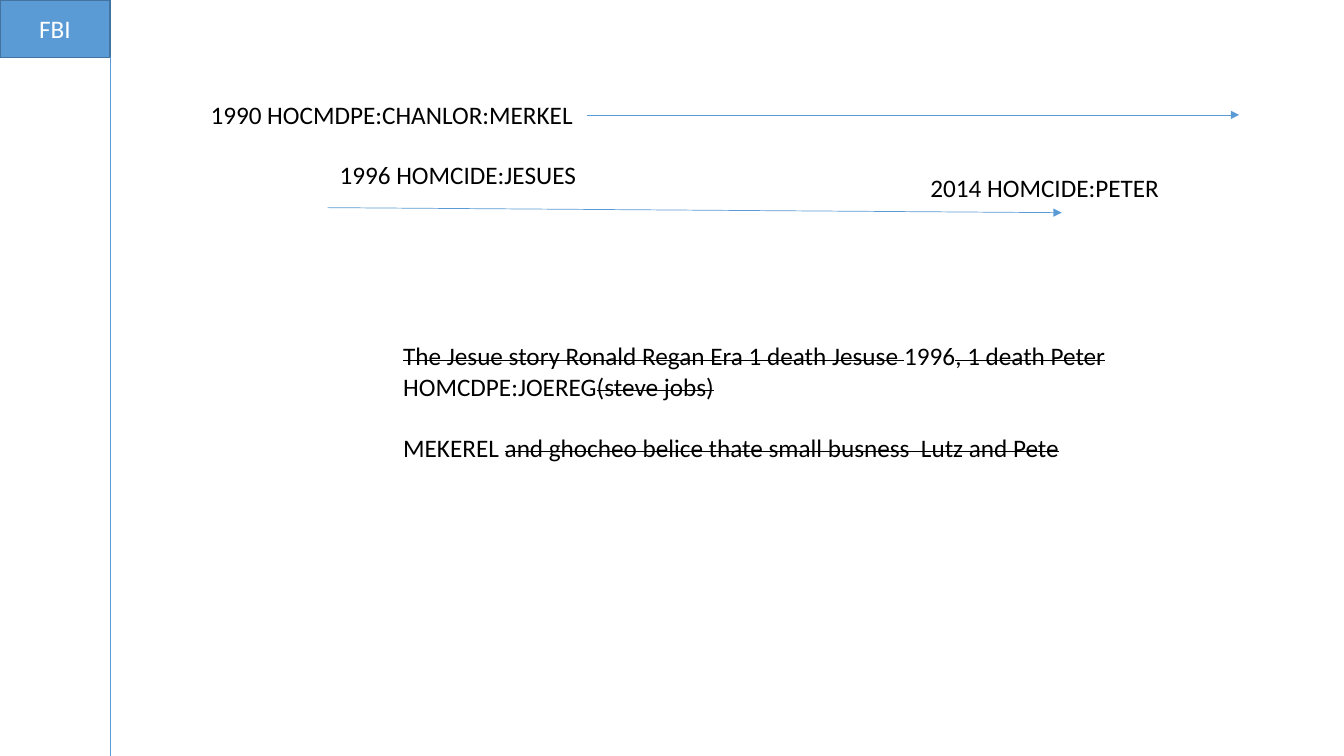
"""Build a slide with a timeline of arrows and a partly struck-out note."""
from dataclasses import dataclass

from lxml.etree import SubElement
from pptx import Presentation
from pptx.dml.color import RGBColor
from pptx.enum.shapes import MSO_CONNECTOR, MSO_SHAPE
from pptx.enum.text import MSO_ANCHOR, MSO_AUTO_SIZE, PP_ALIGN
from pptx.oxml.ns import qn
from pptx.util import Inches, Pt


@dataclass(frozen=True)
class Theme:
    font: str = "Calibri"
    size: Pt = Pt(18)
    gap: Pt = Pt(22)
    blue: RGBColor = RGBColor(0x5B, 0x9B, 0xD5)
    edge: RGBColor = RGBColor(0x43, 0x73, 0x9E)
    ink: RGBColor = RGBColor(0, 0, 0)
    white: RGBColor = RGBColor(255, 255, 255)


THEME = Theme()


def style(para, color):
    para.font.name = THEME.font
    para.font.size = THEME.size
    para.font.color.rgb = color


def add_tag(slide, text, *box):
    tag = slide.shapes.add_shape(MSO_SHAPE.RECTANGLE, *map(Inches, box))
    tag.shadow.inherit = False
    tag.fill.solid()
    tag.fill.fore_color.rgb = THEME.blue
    tag.line.color.rgb = THEME.edge
    tag.line.width = Pt(1)
    frame = tag.text_frame
    frame.vertical_anchor = MSO_ANCHOR.MIDDLE
    para = frame.paragraphs[0]
    para.text = text
    para.alignment = PP_ALIGN.CENTER
    style(para, THEME.white)


def add_line(slide, start, end, arrow=True):
    points = map(Inches, (*start, *end))
    line = slide.shapes.add_connector(MSO_CONNECTOR.STRAIGHT, *points)
    line.line.color.rgb = THEME.blue
    line.line.width = Pt(0.5)
    if arrow:
        SubElement(line.line._get_or_add_ln(), qn("a:tailEnd"), type="triangle")
    SubElement(line._element.spPr, qn("a:effectLst"))
    return line


def add_box(slide, box, wrap):
    shape = slide.shapes.add_textbox(*map(Inches, box))
    shape.text_frame.word_wrap = wrap
    shape.text_frame.auto_size = MSO_AUTO_SIZE.SHAPE_TO_FIT_TEXT
    return shape


def add_label(slide, text, *box):
    label = add_box(slide, box, False)
    para = label.text_frame.paragraphs[0]
    para.text = text
    style(para, THEME.ink)
    return label


def add_note(slide, rows, *box):
    frame = add_box(slide, box, True).text_frame
    for index, row in enumerate(rows):
        para = frame.add_paragraph() if index else frame.paragraphs[0]
        style(para, THEME.ink)
        for text, struck in row:
            run = para.add_run()
            run.text = text
            if struck:
                run._r.get_or_add_rPr().set("strike", "sngStrike")
    para.space_before = THEME.gap


def main():
    deck = Presentation()
    deck.slide_width, deck.slide_height = Inches(13.33), Inches(7.5)
    slide = deck.slides.add_slide(deck.slide_layouts[6])

    add_tag(slide, "FBI", 0, 0, 1.09, 0.57)
    add_line(slide, (1.09, 0.57), (1.09, 7.5), arrow=False)
    add_line(slide, (3.25, 2.06), (10.53, 2.11))
    add_label(slide, "1996 HOMCIDE:JESUES", 3.27, 1.53, 2.57, 0.4)
    add_label(slide, "2014 HOMCIDE:PETER", 9.13, 1.66, 2.49, 0.4)
    first = add_label(slide, "1990 HOCMDPE:CHANLOR:MERKEL", 1.99, 0.94, 3.83, 0.4)
    add_line(slide, (5.82, 1.14), (12.29, 1.14)).begin_connect(first, 3)

    rows = [
        [("The Jesue story Ronald Regan Era 1 death Jesuse ", True),
         ("1996", False), (", 1 death Peter", True)],
        [("HOMCDPE:JOEREG", False), ("(steve jobs)", True)],
        [("MEKEREL ", False),
         ("and ghocheo belice thate small busness  Lutz and Pete", True)],
    ]
    add_note(slide, rows, 3.9, 3.33, 7.25, 1.31)
    deck.save("out.pptx")


if __name__ == "__main__":
    main()
